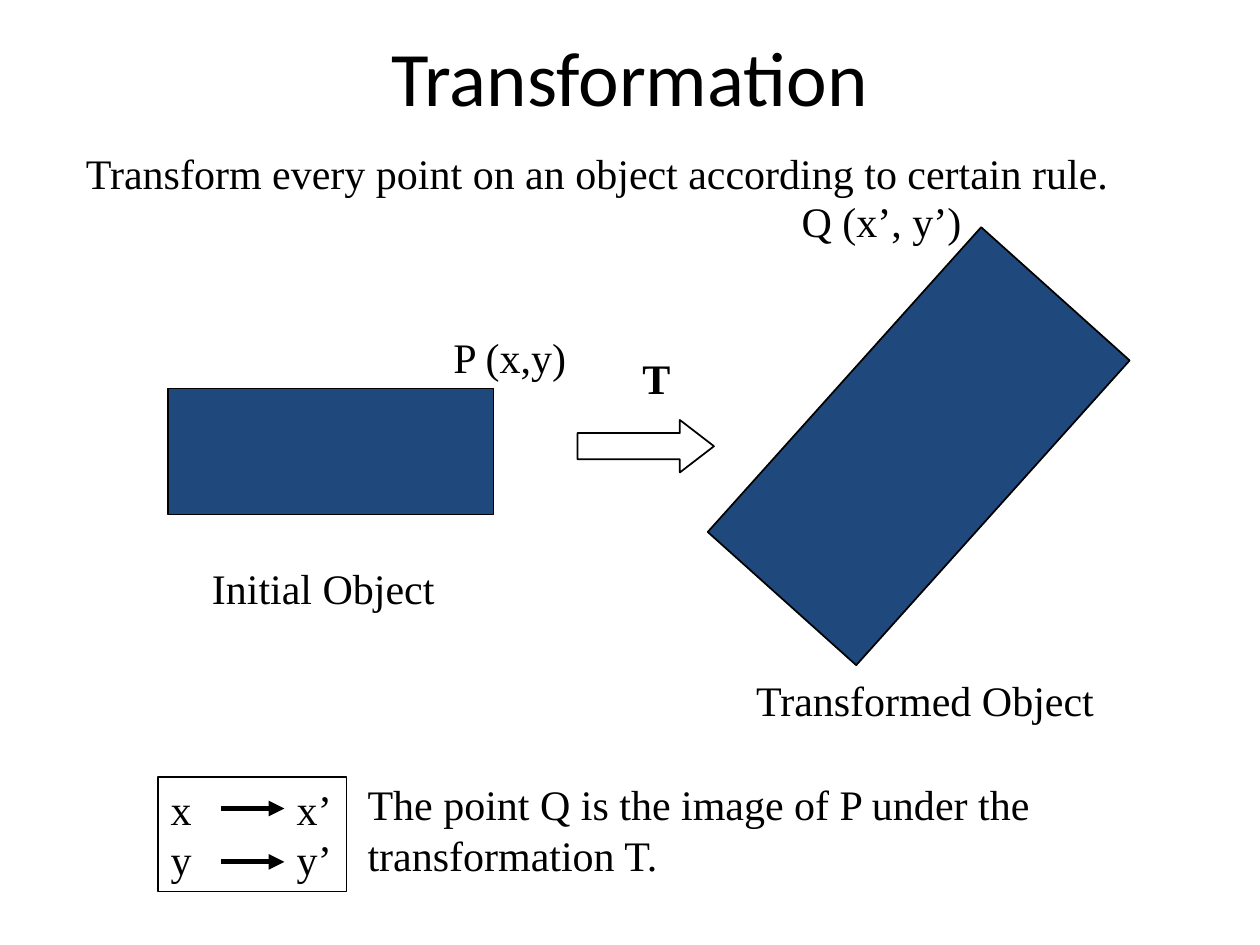
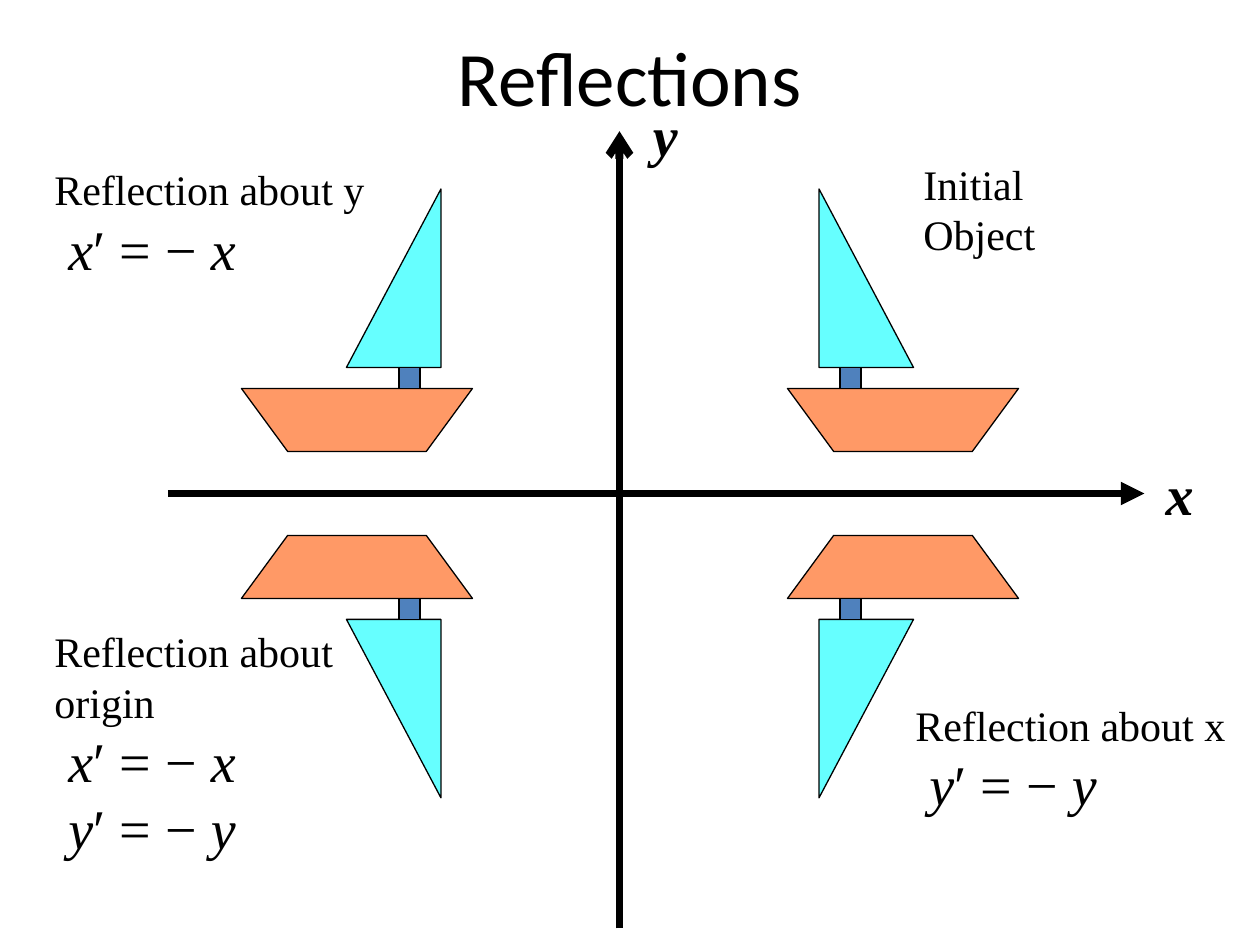
from lxml import etree
from pptx import Presentation
from pptx.dml.color import RGBColor
from pptx.enum import shapes, text
from pptx.oxml.ns import qn
from pptx.util import Pt

TITLE_FONT, BODY_FONT = "Calibri", "Times New Roman"
BLACK, NAVY, BLUE = "000000", "1F497D", "4F81BD"
ORANGE, CYAN = "FF9966", "66FFFF"
BODY_SIZE, MATH_SIZE = 24, 32


def plain(*lines):
    return [[(line, BODY_SIZE, "")] for line in lines]


def negation(letter):
    """The paragraph that maps a coordinate to its negative."""
    return [(f" {letter}", MATH_SIZE, "i"), ("′ = − ", MATH_SIZE, ""), (letter, MATH_SIZE, "i")]


# Labels: left, top, width, height, wrap, paragraphs of (text, size, style) runs
TRANSFORMATION_LABELS = [
    (42, 81, 599, 36, False, plain("Transform every point on an object according to certain rule.")),
    (114, 318, 142, 36, False, plain("Initial Object")),
    (425, 382, 208, 36, False, plain("Transformed Object")),
    (252, 186, 80, 36, False, plain("P (x,y)")),
    (451, 108, 106, 36, False, plain("Q (x’, y’)")),
    (360, 198, 30, 36, False, [[("T", BODY_SIZE, "b")]]),
    (203, 441.5, 427, 65, True, plain("The point Q is the image of P under the transformation T.")),
]
REFLECTION_LABELS = [
    (520.5, 87, 78.5, 65, False, plain("Initial", "Object")),
    (516, 396, 191.5, 74, False, plain("Reflection about x") + [negation("y")]),
    (659, 259, 30, 45, False, [[("x", MATH_SIZE, "bi")]]),
    (366, 54, 34.5, 45, True, [[("y", MATH_SIZE, "bi")]]),
    (24, 354, 191.5, 142, True,
     plain("Reflection about", "origin") + [negation("x"), negation("y")]),
    (24, 90, 191.5, 74, False, plain("Reflection about y") + [negation("x")]),
]
MAPPINGS = plain("x\tx’", "y\ty’")
MAPPING_ARROWS = [462, 492.5]

# Boat in the first quadrant: preset, left, top, width, height, fill
PRESET = shapes.MSO_SHAPE
BOAT = [
    (PRESET.FLOWCHART_MANUAL_OPERATION, 450, 222, 132, 36, ORANGE),
    (PRESET.RIGHT_TRIANGLE, 468, 108, 54, 102, CYAN),
    (PRESET.RECTANGLE, 480, 210, 12, 12, BLUE),
]
MIRROR_X, MIRROR_Y = 360, 282
QUADRANTS = [(False, False), (True, False), (True, True), (False, True)]


def rgb(color):
    return RGBColor.from_string(color)


def write(shape, paragraphs, wrap=False, font=BODY_FONT, align=text.PP_ALIGN.LEFT,
          anchor=text.MSO_ANCHOR.TOP, tab=None):
    frame = shape.text_frame
    frame.word_wrap = wrap
    frame.vertical_anchor = anchor
    for index, runs in enumerate(paragraphs):
        paragraph = frame.add_paragraph() if index else frame.paragraphs[0]
        paragraph.alignment = align
        if tab:
            tabs = etree.SubElement(paragraph._p.get_or_add_pPr(), qn("a:tabLst"))
            etree.SubElement(tabs, qn("a:tab"), pos=str(Pt(tab)), algn="l")
        for content, size, style in runs:
            run = paragraph.add_run()
            run.text = content
            run.font.name = font
            run.font.size = Pt(size)
            run.font.bold = "b" in style
            run.font.italic = "i" in style
            run.font.color.rgb = rgb(BLACK)


def add_labels(slide, labels):
    for left, top, width, height, wrap, paragraphs in labels:
        box = slide.shapes.add_textbox(Pt(left), Pt(top), Pt(width), Pt(height))
        write(box, paragraphs, wrap)


def add_titled_slide(presentation, title):
    slide = presentation.slides.add_slide(presentation.slide_layouts[6])
    box = slide.shapes.add_textbox(Pt(36), Pt(-2), Pt(648), Pt(90))
    write(box, [[(title, 44, "")]], True, TITLE_FONT,
          text.PP_ALIGN.CENTER, text.MSO_ANCHOR.MIDDLE)
    return slide


def add_outlined(parent, preset, left, top, width, height, fill=None, line_width=1.0):
    shape = parent.shapes.add_shape(preset, Pt(left), Pt(top), Pt(width), Pt(height))
    shape.shadow.inherit = False
    if fill:
        shape.fill.solid()
        shape.fill.fore_color.rgb = rgb(fill)
    else:
        shape.fill.background()
    shape.line.color.rgb = rgb(BLACK)
    shape.line.width = Pt(line_width)
    return shape


def add_arrow(slide, start, end, width, head="triangle"):
    points = [Pt(value) for value in (*start, *end)]
    arrow = slide.shapes.add_connector(shapes.MSO_CONNECTOR.STRAIGHT, *points)
    arrow.line.color.rgb = rgb(BLACK)
    arrow.line.width = Pt(width)
    properties = arrow.element.spPr
    etree.SubElement(properties.find(qn("a:ln")), qn("a:tailEnd"), type=head)
    etree.SubElement(properties, qn("a:effectLst"))


def add_boat(slide, flip_x, flip_y):
    """Draw the boat, reflected about the mirror lines where asked."""
    group = slide.shapes.add_group_shape()
    for preset, left, top, width, height, fill in BOAT:
        if flip_x:
            left = 2 * MIRROR_X - left - width
        if flip_y:
            top = 2 * MIRROR_Y - top - height
        part = add_outlined(group, preset, left, top, width, height, fill, 0.75)
        frame = part.element.spPr.xfrm
        if flip_x:
            frame.set("flipH", "1")
        if flip_y:
            frame.set("flipV", "1")


def build_transformation(presentation):
    slide = add_titled_slide(presentation, "Transformation")
    add_outlined(slide, PRESET.RECTANGLE, 96, 222, 186, 72, NAVY)
    transformed = add_outlined(slide, PRESET.RECTANGLE, 408, 198, 234, 114, NAVY)
    transformed.rotation = 311.9
    block_arrow = add_outlined(slide, PRESET.RIGHT_ARROW, 330, 240, 78, 30)
    block_arrow.adjustments[1] = 0.65
    mapping_box = add_outlined(slide, PRESET.RECTANGLE, 90.5, 444, 107.5, 65.5)
    write(mapping_box, MAPPINGS, tab=72)
    for y in MAPPING_ARROWS:
        add_arrow(slide, (126.5, y), (162.5, y), 3)
    add_labels(slide, TRANSFORMATION_LABELS)


def build_reflections(presentation):
    slide = add_titled_slide(presentation, "Reflections")
    add_arrow(slide, (96, MIRROR_Y), (654, MIRROR_Y), 4.5)
    add_arrow(slide, (354, 530.5), (354, 75), 4.5, "arrow")
    for flip_x, flip_y in QUADRANTS:
        add_boat(slide, flip_x, flip_y)
    add_labels(slide, REFLECTION_LABELS)


def main():
    presentation = Presentation()
    presentation.slide_width, presentation.slide_height = Pt(720), Pt(540)
    build_transformation(presentation)
    build_reflections(presentation)
    presentation.save("out.pptx")


if __name__ == "__main__":
    main()
